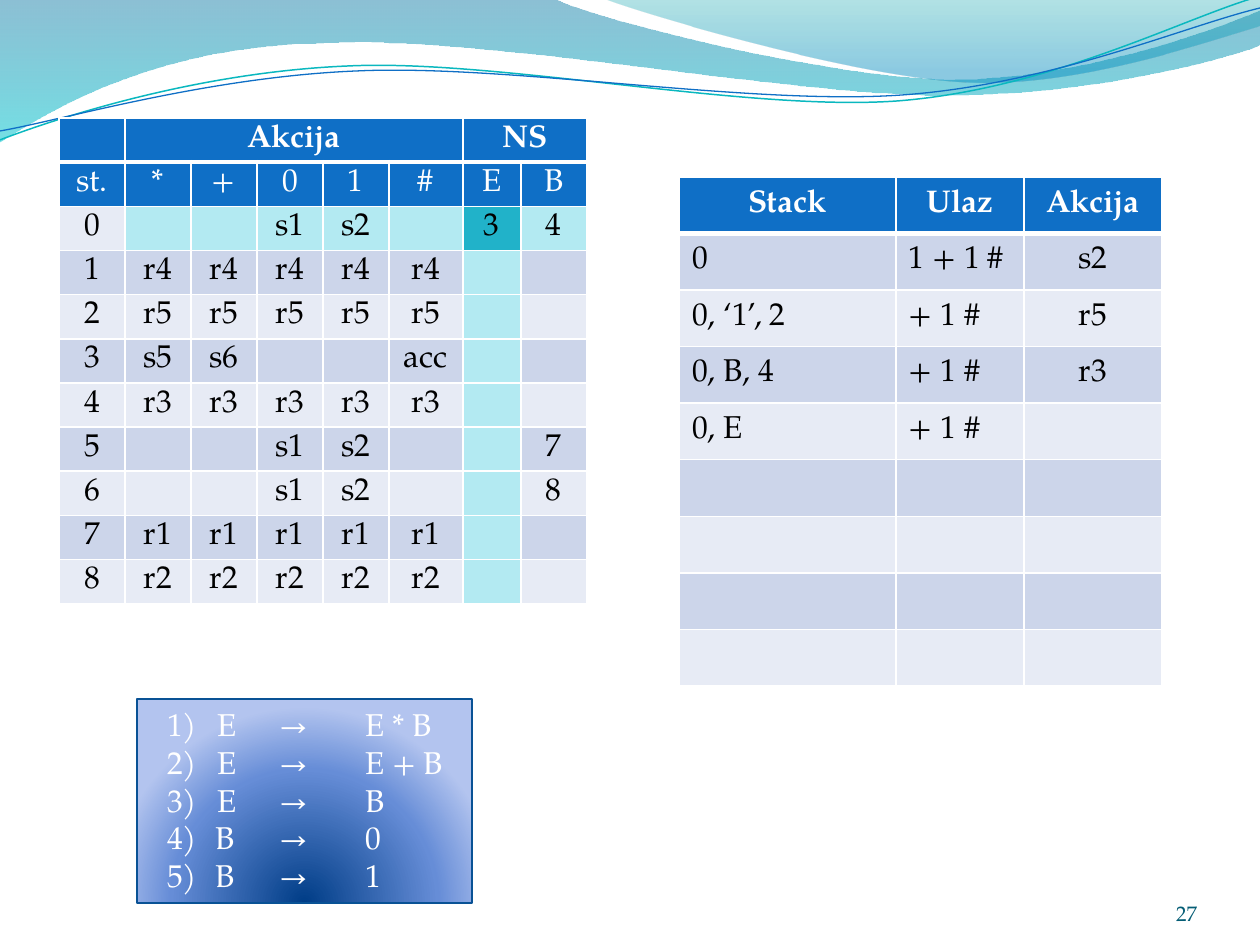
import itertools
import math
from dataclasses import dataclass

import pptx
import pptx.dml.color
import pptx.enum.shapes
import pptx.enum.text
import pptx.oxml
import pptx.oxml.ns
import pptx.util

RGB = pptx.dml.color.RGBColor
ALIGN = pptx.enum.text.PP_ALIGN
ANCHOR = pptx.enum.text.MSO_ANCHOR
Point = tuple[int, int]

WHITE = RGB(0xFF, 0xFF, 0xFF)
BLACK = RGB(0x00, 0x00, 0x00)
BLUE = RGB(0x0F, 0x6F, 0xC6)
TEAL = RGB(0x0A, 0xB8, 0xBF)
BAND_DARK = RGB(0xCC, 0xD5, 0xEA)
BAND_LIGHT = RGB(0xE7, 0xEB, 0xF5)
TRACE = RGB(0xB3, 0xEA, 0xF2)
TRACE_HIT = RGB(0x21, 0xB2, 0xC9)
BOX_EDGE = RGB(0x09, 0x52, 0x95)
NUMBER = RGB(0x04, 0x5D, 0x75)
FONT = "TeX Gyre Pagella"
DRAWING = pptx.oxml.ns.nsdecls("a")
DOWNWARD = '<a:lin ang="5400000" scaled="0"/>'
FROM_BELOW = '<a:path path="circle"><a:fillToRect l="50000" t="130000" r="50000" b="-30000"/></a:path>'


@dataclass(frozen=True)
class Stop:
    position: int
    color: RGB
    opacity: int = 100


@dataclass(frozen=True)
class Outline:
    start: Point
    segments: tuple[tuple[Point, ...], ...]
    stops: tuple[Stop, ...] = ()
    line: RGB | None = None
    width: float = 0
    turn: float = 0
    center: Point = (0, 0)


@dataclass(frozen=True)
class Grid:
    left: int
    top: int
    height: int
    columns: tuple[int, ...]
    rows: tuple[tuple[str, ...], ...]
    merges: tuple[tuple[int, int], ...] = ()
    head_rows: int = 1
    left_columns: int = 0


OUTLINES = (
    Outline((0, 0), (((554, -1),), ((600, 21), (837, 79), (955, 79)), ((1075, 79), (1207, 33), (1260, 11)),
                     ((1261, 45),), ((1239, 55), (1096, 96), (940, 95)), ((784, 95), (481, 35), (324, 43)),
                     ((163, 45), (58, 105), (-1, 142))),
            (Stop(0, RGB(0x00, 0x74, 0xA1), 45), Stop(100, RGB(0x00, 0xC6, 0xCF), 55))),
    Outline((604, -1), (((641, 14), (859, 78), (969, 82)), ((1079, 87), (1211, 40), (1260, 26)), ((1260, 0),)),
            (Stop(0, RGB(0x00, 0xA1, 0xA9), 30), Stop(80, RGB(0x00, 0x8B, 0xBF), 45))),
    Outline((0, 140), (((60, 117), (199, 72), (349, 66)), ((498, 59), (747, 112), (898, 101)),
                       ((1050, 89), (1182, 19), (1257, -3))), line=TEAL, width=0.85, turn=-2.7, center=(629, 72)),
    Outline((0, 131), (((59, 121), (207, 77), (357, 71)), ((508, 64), (752, 106), (903, 95)),
                       ((1053, 84), (1185, 26), (1260, 8))), line=BLUE, width=0.75, turn=-2.7, center=(630, 74)),
)
SHIFT_ROW = ("", "", "s1", "s2", "")


def reduce_row(rule: int) -> tuple[str, ...]:
    return (f"r{rule}",) * 5


PARSE_TABLE = Grid(59, 118, 486, (66, 66, 66, 66, 66, 74, 58, 66), (
    ("", "Akcija", "", "", "", "", "NS", ""),
    ("st.", "*", "+", "0", "1", "#", "E", "B"),
    ("0", *SHIFT_ROW, "3", "4"),
    ("1", *reduce_row(4), "", ""),
    ("2", *reduce_row(5), "", ""),
    ("3", "s5", "s6", "", "", "acc", "", ""),
    ("4", *reduce_row(3), "", ""),
    ("5", *SHIFT_ROW, "", "7"),
    ("6", *SHIFT_ROW, "", "8"),
    ("7", *reduce_row(1), "", ""),
    ("8", *reduce_row(2), "", ""),
), merges=((1, 5), (6, 7)), head_rows=2)
STACK_TABLE = Grid(679, 177, 509, (217, 128, 138), (
    ("Stack", "Ulaz", "Akcija"),
    ("0", "1 + 1 #", "s2"),
    ("0, ‘1’, 2", "+ 1 #", "r5"),
    ("0, B, 4", "+ 1 #", "r3"),
    ("0, E", "+ 1 #", ""),
    *((("",) * 3,) * 4),
), left_columns=2)
TRACED = {(2, column): TRACE for column in range(1, 8)}
TRACED |= {(row, 6): TRACE for row in range(3, 11)}
TRACED[2, 6] = TRACE_HIT


def px(length: float) -> int:
    return round(length * 914400 / 126)


def add_span(para, text: str, color: RGB, size: int = 18, bold: bool = False) -> None:
    span = para.add_run()
    span.text = text
    span.font.name = FONT
    span.font.size = pptx.util.Pt(size)
    span.font.bold = bold
    span.font.color.rgb = color


def fill_gradient(shape, stops: tuple[Stop, ...], direction: str) -> None:
    marks = "".join(
        f'<a:gs pos="{stop.position * 1000}"><a:srgbClr val="{stop.color}">'
        f'<a:alpha val="{stop.opacity * 1000}"/></a:srgbClr></a:gs>' for stop in stops)
    shape.element.spPr.insert(2, pptx.oxml.parse_xml(
        f'<a:gradFill {DRAWING} rotWithShape="1"><a:gsLst>{marks}</a:gsLst>{direction}</a:gradFill>'))


def unturn(point: Point, outline: Outline) -> Point:
    angle = math.radians(-outline.turn)
    x, y = point[0] - outline.center[0], point[1] - outline.center[1]
    return (px(outline.center[0] + x * math.cos(angle) - y * math.sin(angle)),
            px(outline.center[1] + x * math.sin(angle) + y * math.cos(angle)))


def bend_segments(shape, segments: tuple[tuple[Point, ...], ...]) -> None:
    lines = iter(list(shape.element.spPr.iter(pptx.oxml.ns.qn("a:lnTo"))))
    for segment in segments:
        group = list(itertools.islice(lines, len(segment)))
        if len(group) == 3:
            curve = pptx.oxml.parse_xml(f"<a:cubicBezTo {DRAWING}/>")
            group[0].addprevious(curve)
            for line in group:
                curve.append(line[0])
                line.getparent().remove(line)


def draw_outline(page, outline: Outline) -> None:
    builder = page.shapes.build_freeform(*unturn(outline.start, outline))
    points = [unturn(point, outline) for point in itertools.chain(*outline.segments)]
    builder.add_line_segments(points, close=False)
    if outline.stops:
        builder.add_line_segments([], close=True)
    shape = builder.convert_to_shape()
    bend_segments(shape, outline.segments)
    shape.rotation = outline.turn
    if outline.stops:
        fill_gradient(shape, outline.stops, DOWNWARD)
        shape.line.fill.background()
    else:
        shape.fill.background()
        shape.line.color.rgb = outline.line
        shape.line.width = pptx.util.Pt(outline.width)
    shape.shadow.inherit = False


def add_borders(cell, row: int) -> None:
    widths = {"L": 1, "R": 1, "T": 3 if row == 1 else 1, "B": 3 if row == 0 else 1}
    for side, width in widths.items():
        cell._tc.get_or_add_tcPr().append(pptx.oxml.parse_xml(
            f'<a:ln{side} {DRAWING} w="{pptx.util.Pt(width)}"><a:solidFill>'
            f'<a:srgbClr val="{WHITE}"/></a:solidFill></a:ln{side}>'))


def draw_grid(page, grid: Grid, highlights: dict[tuple[int, int], RGB]) -> None:
    row_count, column_count = len(grid.rows), len(grid.columns)
    table = page.shapes.add_table(row_count, column_count, px(grid.left), px(grid.top),
                                  px(sum(grid.columns)), px(grid.height)).table
    table.first_row = table.horz_banding = False
    for column, width in zip(table.columns, grid.columns):
        column.width = px(width)
    for first, last in grid.merges:
        table.cell(0, first).merge(table.cell(0, last))
    for row, column in itertools.product(range(row_count), range(column_count)):
        cell = table.cell(row, column)
        head = row < grid.head_rows
        band = BAND_LIGHT if row % 2 == 0 else BAND_DARK
        add_borders(cell, row)
        cell.fill.solid()
        cell.fill.fore_color.rgb = BLUE if head else highlights.get((row, column), band)
        cell.margin_top = cell.margin_bottom = 0
        cell.margin_left = cell.margin_right = px(13)
        cell.vertical_anchor = ANCHOR.MIDDLE
        para = cell.text_frame.paragraphs[0]
        para.alignment = ALIGN.LEFT if not head and column < grid.left_columns else ALIGN.CENTER
        if grid.rows[row][column]:
            add_span(para, grid.rows[row][column], WHITE if head else BLACK, bold=row == 0)


def set_tabs(para, numbered: bool) -> None:
    properties = para._p.get_or_add_pPr()
    if numbered:
        properties.set("marL", str(px(48)))
        properties.set("indent", str(-px(48)))
        properties.append(pptx.oxml.parse_xml(f'<a:buAutoNum {DRAWING} type="arabicParenR" startAt="4"/>'))
    tabs = "".join(f'<a:tab pos="{px(place)}" algn="l"/>' for place in (50, 112, 198))
    properties.append(pptx.oxml.parse_xml(f"<a:tabLst {DRAWING}>{tabs}</a:tabLst>"))


def draw_grammar(page) -> None:
    box = page.shapes.add_shape(pptx.enum.shapes.MSO_SHAPE.RECTANGLE, px(137), px(699), px(335), px(204))
    fill_gradient(box, (Stop(0, RGB(0x00, 0x3D, 0x87)), Stop(68, RGB(0x66, 0x8D, 0xD7)),
                        Stop(100, RGB(0xB3, 0xC4, 0xEF))), FROM_BELOW)
    box.line.color.rgb = BOX_EDGE
    box.line.width = pptx.util.Pt(0.75)
    box.shadow.inherit = False
    frame = box.text_frame
    frame.word_wrap = True
    frame.vertical_anchor = ANCHOR.TOP
    frame.margin_left, frame.margin_right, frame.margin_top = px(30), px(6), px(6)
    rules = (("1) \tE\t→\tE * B", "2) \tE\t→ \tE + B", "3) \tE\t→ \tB"), ("B\t→\t0",), ("B\t→\t1",))
    for index, lines in enumerate(rules):
        para = frame.add_paragraph() if index else frame.paragraphs[0]
        para.alignment = ALIGN.LEFT
        set_tabs(para, numbered=index > 0)
        for number, line in enumerate(lines):
            if number:
                para.add_line_break()
            add_span(para, line, WHITE)


def draw_page_number(page) -> None:
    frame = page.shapes.add_textbox(px(1092), px(876), px(105), px(50)).text_frame
    frame.word_wrap = True
    frame.vertical_anchor = ANCHOR.BOTTOM
    frame.margin_left = frame.margin_right = frame.margin_top = frame.margin_bottom = 0
    frame.paragraphs[0].alignment = ALIGN.RIGHT
    add_span(frame.paragraphs[0], "27", NUMBER, size=12)


def main() -> None:
    deck = pptx.Presentation()
    deck.slide_width, deck.slide_height = px(1260), px(945)
    page = deck.slides.add_slide(deck.slide_layouts[6])
    for outline in OUTLINES:
        draw_outline(page, outline)
    draw_grid(page, PARSE_TABLE, TRACED)
    draw_page_number(page)
    draw_grammar(page)
    draw_grid(page, STACK_TABLE, {})
    deck.save("out.pptx")


if __name__ == "__main__":
    main()
